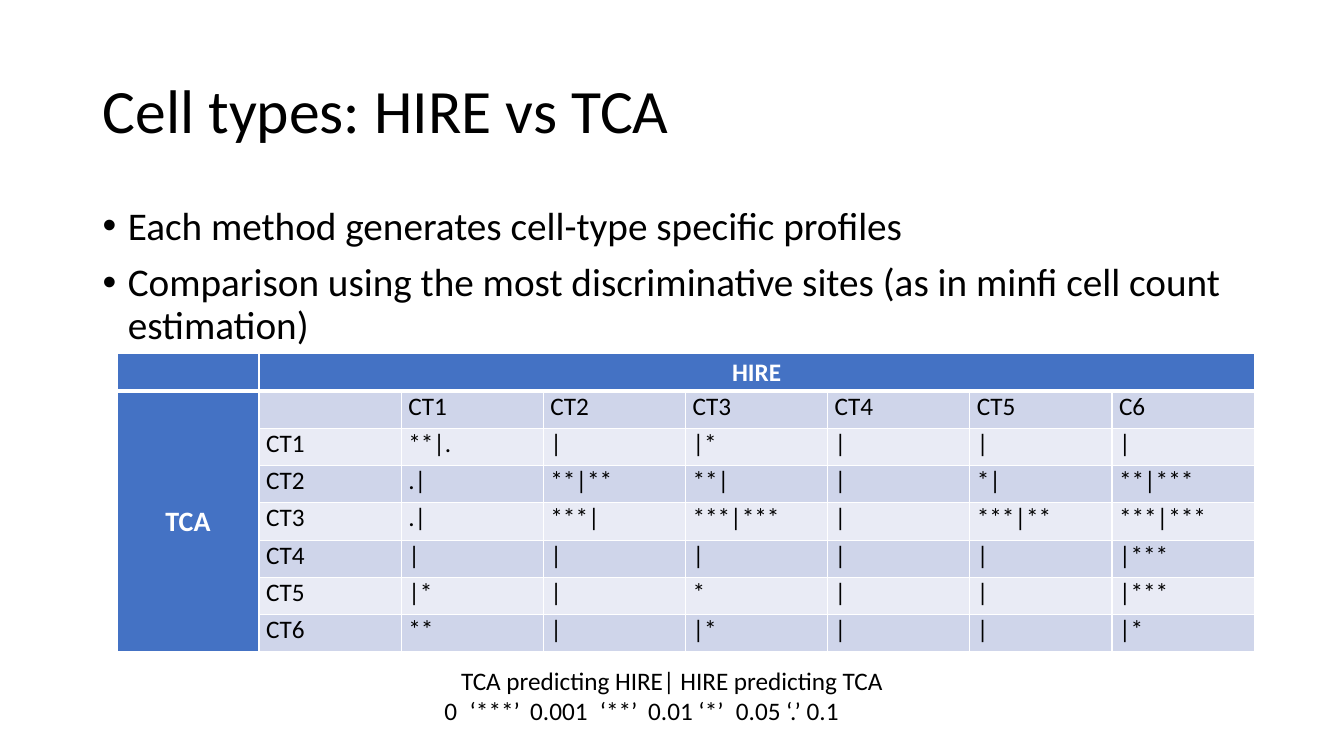
from dataclasses import dataclass
from lxml.etree import SubElement
from pptx import Presentation
from pptx.dml.color import RGBColor
from pptx.enum.text import MSO_ANCHOR, MSO_AUTO_SIZE, PP_ALIGN
from pptx.oxml import parse_xml
from pptx.oxml.ns import nsdecls, qn
from pptx.util import Emu, Pt


@dataclass(frozen=True)
class Theme:
    font: str = "Calibri"
    ink: str = "000000"
    white: str = "FFFFFF"
    header: str = "4472C4"
    bands: tuple = ("CFD5EA", "E9EBF5")
    title_size: int = 44
    body_size: int = 28
    label_size: int = 20
    cell_size: int = 18


THEME = Theme()
PX_PER_INCH = 100
ROW_HEIGHT = 37
COLUMN_WIDTH = 141
CELL_INSET = 7
BULLET_INDENT = 25
LEGEND_TABS = (25, 85, 154, 202, 289)

BULLETS = (
    "Each method generates cell-type specific profiles",
    "Comparison using the most discriminative sites "
    "(as in minfi cell count estimation)",
)
SIGNIFICANCE = (
    ("", "CT1", "CT2", "CT3", "CT4", "CT5", "C6"),
    ("CT1", "**|.", "|", "|*", "|", "|", "|"),
    ("CT2", ".|", "**|**", "**|", "|", "*|", "**|***"),
    ("CT3", ".|", "***|", "***|***", "|", "***|**", "***|***"),
    ("CT4", "|", "|", "|", "|", "|", "|***"),
    ("CT5", "|*", "|", "*", "|", "|", "|***"),
    ("CT6", "**", "|", "|*", "|", "|", "|*"),
)


def px(length):
    return Emu(length * 914400 // PX_PER_INCH)


def write(para, text, *, size, color=THEME.ink, bold=False,
          align=PP_ALIGN.LEFT, line_spacing=1.0, space_before=0):
    para.alignment = align
    para.line_spacing = line_spacing
    para.space_before = Pt(space_before)
    span = para.add_run()
    span.text = text
    span.font.name = THEME.font
    span.font.size = Pt(size)
    span.font.bold = bold
    span.font.color.rgb = RGBColor.from_string(color)


def place(shape, left, top, width, height):
    shape.left, shape.top = px(left), px(top)
    shape.width, shape.height = px(width), px(height)


def add_title(slide, text):
    title = slide.shapes.title
    place(title, 92, 40, 1150, 145)
    frame = title.text_frame
    frame.auto_size = MSO_AUTO_SIZE.NONE
    frame.vertical_anchor = MSO_ANCHOR.MIDDLE
    write(frame.paragraphs[0], text, size=THEME.title_size, line_spacing=0.9)


def add_text_box(slide, left, top, width, height, wrap=True):
    box = slide.shapes.add_textbox(px(left), px(top), px(width), px(height))
    box.text_frame.word_wrap = wrap
    return box.text_frame


def add_bullets(slide, lines):
    frame = add_text_box(slide, 92, 200, 1150, 476)
    for index, line in enumerate(lines):
        para = frame.add_paragraph() if index else frame.paragraphs[0]
        write(para, line, size=THEME.body_size, line_spacing=0.9, space_before=10)
        properties = para._p.get_or_add_pPr()
        properties.set("marL", str(px(BULLET_INDENT)))
        properties.set("indent", str(-px(BULLET_INDENT)))
        SubElement(properties, qn("a:buFont")).set("typeface", "Arial")
        SubElement(properties, qn("a:buChar")).set("char", "•")


def set_borders(cell, top=1, bottom=1):
    properties = cell._tc.get_or_add_tcPr()
    widths = {"lnL": 1, "lnR": 1, "lnT": top, "lnB": bottom}
    for index, (side, width) in enumerate(widths.items()):
        properties.insert(index, parse_xml(
            f'<a:{side} {nsdecls("a")} w="{Pt(width)}"><a:solidFill>'
            f'<a:srgbClr val="{THEME.white}"/></a:solidFill></a:{side}>'))


def format_cell(cell, row):
    cell.margin_left = cell.margin_right = px(CELL_INSET)
    cell.margin_top = cell.margin_bottom = 0
    cell.text_frame.paragraphs[0].font.size = Pt(THEME.cell_size)
    set_borders(cell, top=3 if row == 1 else 1, bottom=3 if row == 0 else 1)


def fill_cell(cell, color):
    cell.fill.solid()
    cell.fill.fore_color.rgb = RGBColor.from_string(color)


def add_header(table, first, last, text, size):
    cell = table.cell(*first)
    cell.merge(table.cell(*last))
    cell.vertical_anchor = MSO_ANCHOR.MIDDLE
    write(cell.text_frame.paragraphs[0], text, size=size, color=THEME.white,
          bold=True, align=PP_ALIGN.CENTER)


def add_significance_table(slide, values):
    rows, columns = len(values) + 1, len(values[0]) + 1
    table = slide.shapes.add_table(
        rows, columns, px(116), px(351),
        px(columns * COLUMN_WIDTH), px(rows * ROW_HEIGHT)).table
    for row in range(rows):
        table.rows[row].height = px(ROW_HEIGHT)
        for column in range(columns):
            cell = table.cell(row, column)
            format_cell(cell, row)
            if row == 0 or column == 0:
                fill_cell(cell, THEME.header)
                continue
            fill_cell(cell, THEME.bands[(row - 1) % 2])
            text = values[row - 1][column - 1]
            if text:
                write(cell.text_frame.paragraphs[0], text, size=THEME.cell_size)
    add_header(table, (0, 1), (0, columns - 1), "HIRE", THEME.cell_size)
    add_header(table, (1, 0), (rows - 1, 0), "TCA", THEME.label_size)


def add_legend(slide):
    frame = add_text_box(slide, 431, 655, 471, 71, wrap=False)
    write(frame.paragraphs[0], "TCA predicting HIRE| HIRE predicting TCA",
          size=THEME.cell_size, align=PP_ALIGN.CENTER)
    para = frame.add_paragraph()
    write(para, "0\t‘***’\t0.001\t‘**’\t0.01 ‘*’\t0.05 ‘.’ 0.1",
          size=THEME.cell_size)
    stops = SubElement(para._p.get_or_add_pPr(), qn("a:tabLst"))
    for position in LEGEND_TABS:
        stop = SubElement(stops, qn("a:tab"))
        stop.set("pos", str(px(position)))
        stop.set("algn", "l")


def main():
    deck = Presentation()
    deck.slide_width, deck.slide_height = px(1333), px(750)
    slide = deck.slides.add_slide(deck.slide_layouts.get_by_name("Title Only"))
    add_title(slide, "Cell types: HIRE vs TCA")
    add_bullets(slide, BULLETS)
    add_significance_table(slide, SIGNIFICANCE)
    add_legend(slide)
    deck.save("out.pptx")


if __name__ == "__main__":
    main()
